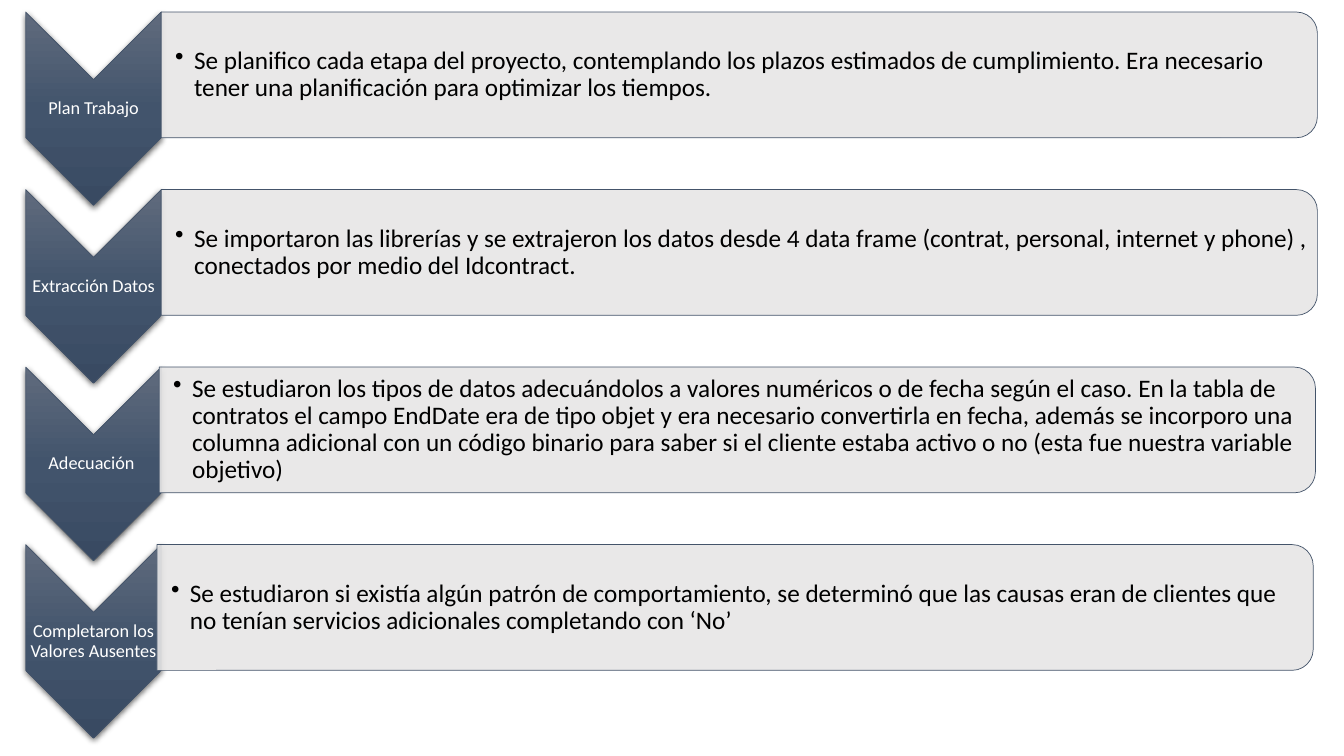
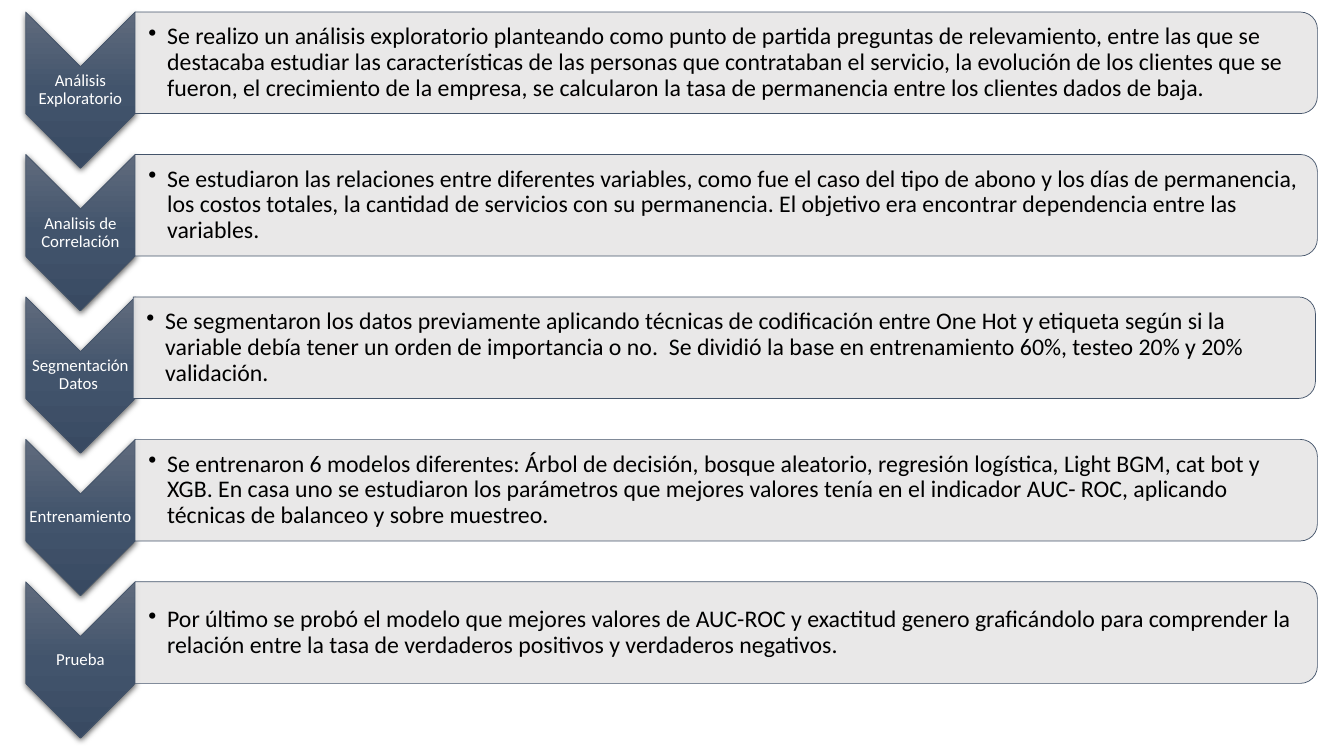
from dataclasses import dataclass

from lxml import etree
from pptx import Presentation
from pptx.dml.color import RGBColor
from pptx.enum import shapes, text
from pptx.oxml import ns
from pptx.util import Pt

# Each step: label, description, sideways shift of its bar
SLIDES = [
    dict(label_size=13, text_size=18, inset=10, steps=[
        ("Plan Trabajo",
         "Se planifico cada etapa del proyecto, contemplando los plazos estimados de "
         "cumplimiento. Era necesario tener una planificación para optimizar los tiempos.", 0),
        ("Extracción Datos",
         "Se importaron las librerías y se extrajeron los datos desde 4 data frame (contrat, "
         "personal, internet y phone) , conectados por medio del Idcontract.", 0),
        ("Adecuación ",
         "Se estudiaron los tipos de datos adecuándolos a valores numéricos o de fecha según "
         "el caso. En la tabla de contratos el campo EndDate era de tipo objet y era necesario "
         "convertirla en fecha, además se incorporo una columna adicional con un código binario "
         "para saber si el cliente estaba activo o no (esta fue nuestra variable objetivo)", -1.4),
        ("Completaron los Valores Ausentes",
         "Se estudiaron si existía algún patrón de comportamiento, se determinó que las causas "
         "eran de clientes que no tenían servicios adicionales completando con ‘No’", -3),
    ]),
    dict(label_size=12, text_size=17, inset=9.4, steps=[
        ("Análisis Exploratorio",
         "Se realizo un análisis exploratorio planteando como punto de partida preguntas de "
         "relevamiento, entre las que se destacaba estudiar las características de las personas "
         "que contrataban el servicio, la evolución de los clientes que se fueron, el crecimiento "
         "de la empresa, se calcularon la tasa de permanencia entre los clientes dados de baja.", 0),
        ("Analisis de Correlación",
         "Se estudiaron las relaciones entre diferentes variables, como fue el caso del tipo de "
         "abono y los días de permanencia, los costos totales, la cantidad de servicios con su "
         "permanencia. El objetivo era encontrar dependencia entre las variables.", 0),
        ("Segmentación Datos ",
         "Se segmentaron los datos previamente aplicando técnicas de codificación entre One Hot "
         "y etiqueta según si la variable debía tener un orden de importancia o no.  Se dividió "
         "la base en entrenamiento 60%, testeo 20% y 20% validación.", -1.4),
        ("Entrenamiento",
         "Se entrenaron 6 modelos diferentes: Árbol de decisión, bosque aleatorio, regresión "
         "logística, Light BGM, cat bot y XGB. En casa uno se estudiaron los parámetros que "
         "mejores valores tenía en el indicador AUC- ROC, aplicando técnicas de balanceo y "
         "sobre muestreo.", 0),
        ("Prueba",
         "Por último se probó el modelo que mejores valores de AUC-ROC y exactitud genero "
         "graficándolo para comprender la relación entre la tasa de verdaderos positivos y "
         "verdaderos negativos.", 0),
    ]),
]


@dataclass(frozen=True)
class Theme:
    font: str = "Calibri"
    label: str = "FFFFFF"
    body: str = "000000"
    line: str = "44546A"
    bar: str = "E7E6E6"
    bar_alpha: int = 90
    gradient: tuple = ((0, "606B7D"), (50, "42546C"), (100, "394A62"))
    line_width: float = 0.5
    line_spacing: float = 0.9


T = Theme()
WIDTH, HEIGHT = 960, 540
LEFT, RIGHT, TOP, BOTTOM = 18.4, 941, 8.6, 527.2
CHEVRON_RATIO, BAR_RATIO = 0.7, 0.65  # chevron width and bar height per chevron length
MARGIN, BULLET_INDENT, TEXT_TRIM = 0.7, 13.5, 4.4


def xml(tag_body):
    return etree.fromstring(f'<a:{tag_body[0]} xmlns:a="{ns.nsuri("a")}" {tag_body[1]}</a:{tag_body[0]}>')


def add_upended(slide, kind, x, y, w, h):
    """Add a shape turned 90° that covers the given box once turned."""
    sp = slide.shapes.add_shape(kind, Pt(x + (w - h) / 2), Pt(y + (h - w) / 2), Pt(h), Pt(w))
    sp.rotation = 90
    sp.shadow.inherit = False
    sp.line.color.rgb = RGBColor.from_string(T.line)
    sp.line.width = Pt(T.line_width)
    return sp


def add_chevron(slide, *box):
    sp = add_upended(slide, shapes.MSO_SHAPE.CHEVRON, *box)
    stops = "".join(f'<a:gs pos="{pos * 1000}"><a:srgbClr val="{c}"/></a:gs>'
                    for pos, c in T.gradient)
    pr = sp._element.spPr
    pr.find(ns.qn("a:prstGeom")).addnext(xml((
        "gradFill", f'rotWithShape="0"><a:gsLst>{stops}</a:gsLst><a:lin ang="5400000" scaled="0"/>')))
    pr.find(ns.qn("a:effectLst")).append(xml((
        "outerShdw", f'blurRad="{Pt(4.5)}" dist="{Pt(1.5)}" dir="5400000" rotWithShape="0">'
        '<a:srgbClr val="000000"><a:alpha val="63000"/></a:srgbClr>')))


def add_bar(slide, *box):
    sp = add_upended(slide, shapes.MSO_SHAPE.ROUND_2_SAME_RECTANGLE, *box)
    sp.fill.solid()
    sp.fill.fore_color.rgb = RGBColor.from_string(T.bar)
    color = sp._element.spPr.find(ns.qn("a:solidFill"))[0]
    color.append(xml(("alpha", f'val="{T.bar_alpha * 1000}">')))


def add_text(slide, words, size, color, x, y, w, h, inset=MARGIN, bullet=False):
    tf = slide.shapes.add_textbox(Pt(x), Pt(y), Pt(w), Pt(h)).text_frame
    frame = dict(word_wrap=True, vertical_anchor=text.MSO_ANCHOR.MIDDLE, margin_left=Pt(inset),
                 margin_right=Pt(MARGIN), margin_top=Pt(MARGIN), margin_bottom=Pt(MARGIN))
    for name, value in frame.items():
        setattr(tf, name, value)
    p = tf.paragraphs[0]
    p.line_spacing = T.line_spacing
    p.alignment = text.PP_ALIGN.LEFT if bullet else text.PP_ALIGN.CENTER
    r = p.add_run()
    r.text = words
    for name, value in dict(name=T.font, size=Pt(size)).items():
        setattr(r.font, name, value)
    r.font.color.rgb = RGBColor.from_string(color)
    if bullet:
        pr = p._p.get_or_add_pPr()
        pr.set("marL", str(Pt(BULLET_INDENT)))
        pr.set("indent", str(-Pt(BULLET_INDENT)))
        pr.append(xml(("buChar", 'char="•">')))


def add_steps(slide, label_size, text_size, inset, steps):
    length = 138.2 if len(steps) == 4 else 111.6
    pitch = (BOTTOM - TOP - length) / (len(steps) - 1)
    chevron_w, bar_h = length * CHEVRON_RATIO, length * BAR_RATIO
    bar_x = LEFT + chevron_w
    bar_w = RIGHT - bar_x
    for i, (label, description, shift) in enumerate(steps):
        y = TOP + i * pitch
        x = bar_x + shift
        add_chevron(slide, LEFT, y, chevron_w, length)
        add_text(slide, label, label_size, T.label,
                 LEFT, y + chevron_w / 2, chevron_w, length - chevron_w)
        add_bar(slide, x, y, bar_w, bar_h)
        add_text(slide, description, text_size, T.body,
                 x, y, bar_w - TEXT_TRIM, bar_h, inset, bullet=True)


def main():
    prs = Presentation()
    prs.slide_width, prs.slide_height = Pt(WIDTH), Pt(HEIGHT)
    for content in SLIDES:
        add_steps(prs.slides.add_slide(prs.slide_layouts[6]), **content)
    prs.save("out.pptx")


if __name__ == "__main__":
    main()
